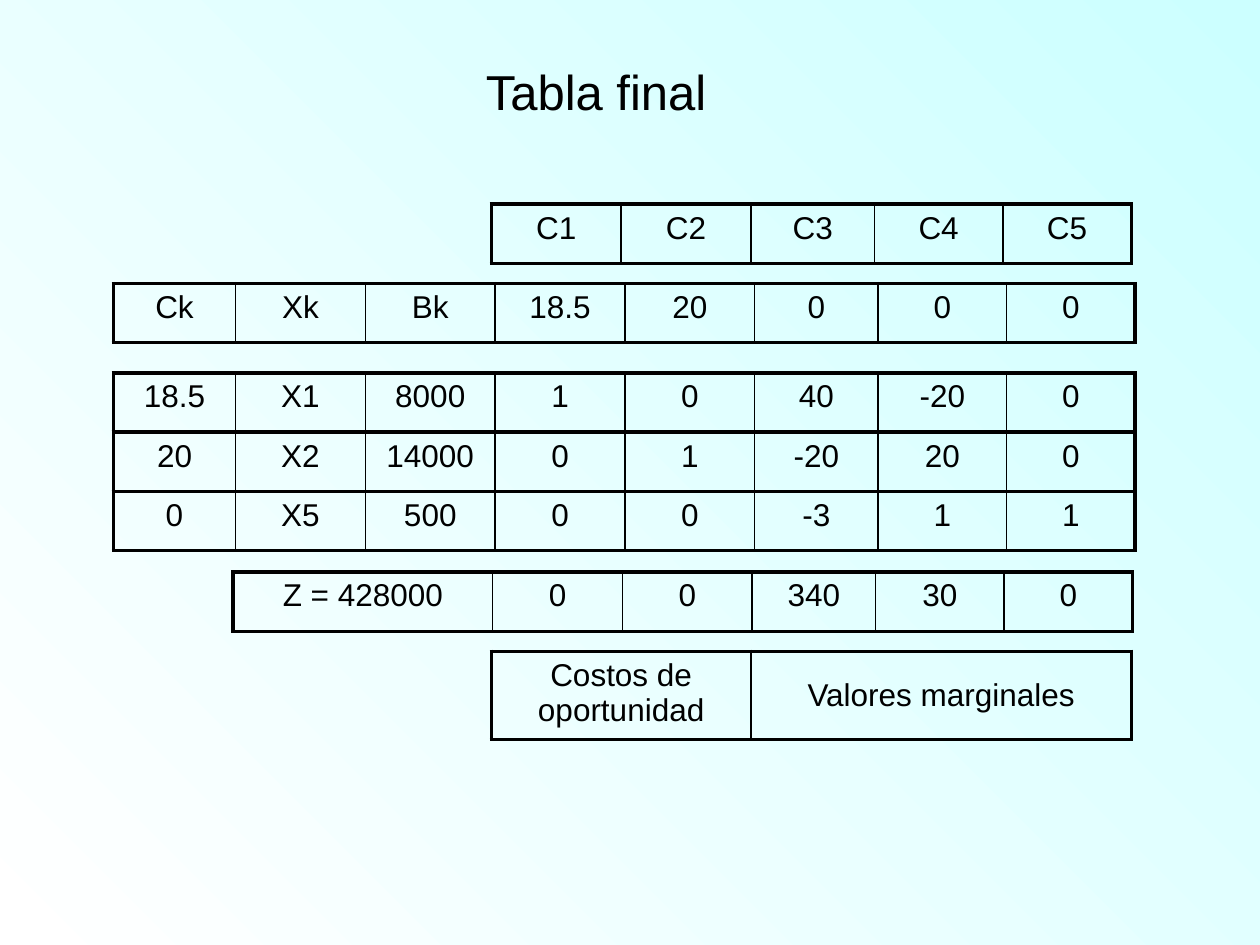
from lxml import etree
from pptx import Presentation, util as u
from pptx.dml.color import RGBColor
from pptx.enum import text as t
from pptx.oxml.ns import qn

HUE = {"ink": "000000", "pale": "FFFFFF", "aqua": "CCFFFF"}
FONT = "Arial"
THICK, THIN = 2.25, 1
WIDE = [0.97, 1.03, 1.03, 1.03, 1.03, 0.98, 1.02, 1.02]
HIGH = 0.47
TITLE = "Tabla final"
COSTS = (3.9, 1.62, WIDE[3:], ["C1", "C2", "C3", "C4", "C5"])
HEAD = (0.9, 2.25, WIDE, ["Ck", "Xk", "Bk", "18.5", "20", "0", "0", "0"])
BODY = [
    ["18.5", "X1", "8000", "1", "0", "40", "-20", "0"],
    ["20", "X2", "14000", "0", "1", "-20", "20", "0"],
    ["0", "X5", "500", "0", "0", "-3", "1", "1"],
]
BODY_TOP = 2.96
TOTAL = (1.85, 4.54, [sum(WIDE[1:3])] + WIDE[3:],
         ["Z = 428000", "0", "0", "340", "30", "0"])
NOTES = (3.9, 5.17, [sum(WIDE[3:5]), sum(WIDE[5:])],
         ["Costos de oportunidad", "Valores marginales"])


def write(frame, words, size=18, hue="ink", align=t.PP_ALIGN.CENTER):
    frame.word_wrap = True
    para = frame.paragraphs[0]
    para.alignment = align
    run = para.add_run()
    run.text = words
    run.font.size = u.Pt(size)
    run.font.name = FONT
    run.font.color.rgb = RGBColor.from_string(HUE[hue])


def edge(cell, sides):
    props = cell._tc.get_or_add_tcPr()
    for spot, (side, width) in enumerate(sides.items()):
        line = etree.Element(qn("a:ln" + side), w=str(u.Pt(width)))
        fill = etree.SubElement(line, qn("a:solidFill"))
        etree.SubElement(fill, qn("a:srgbClr"), val=HUE["ink"])
        props.insert(spot, line)


def strip(slide, left, top, cols, words, high=HIGH):
    frame = slide.shapes.add_table(
        1, len(cols), u.Inches(left), u.Inches(top),
        u.Inches(sum(cols)), u.Inches(high))
    table = frame.table
    table.first_row = table.horz_banding = False
    table.rows[0].height = u.Inches(high)
    last = len(cols) - 1
    for i, (wide, word) in enumerate(zip(cols, words)):
        table.columns[i].width = u.Inches(wide)
        cell = table.cell(0, i)
        cell.fill.background()
        write(cell.text_frame, word)
        edge(cell, {"L": THIN if i else THICK,
                    "R": THIN if i < last else THICK,
                    "T": THICK, "B": THICK})
    return table


def main():
    deck = Presentation()
    deck.slide_width, deck.slide_height = u.Inches(10), u.Inches(7.5)
    slide = deck.slides.add_slide(deck.slide_layouts[6])
    fill = slide.background.fill
    fill.gradient()
    fill.gradient_angle = 45
    for stop, hue in zip(fill.gradient_stops, ("pale", "aqua")):
        stop.color.rgb = RGBColor.from_string(HUE[hue])

    strip(slide, *TOTAL)
    for i, words in reversed(list(enumerate(BODY))):
        strip(slide, HEAD[0], BODY_TOP + i * HIGH, WIDE, words)
    strip(slide, *HEAD)
    strip(slide, *COSTS)
    box = slide.shapes.add_textbox(
        u.Inches(2.72), u.Inches(0.44), u.Inches(4.02), u.Inches(0.57))
    write(box.text_frame, TITLE, size=28)
    notes = strip(slide, *NOTES, high=0.7)
    notes.cell(0, 1).vertical_anchor = t.MSO_ANCHOR.MIDDLE
    deck.save("out.pptx")


if __name__ == "__main__":
    main()
